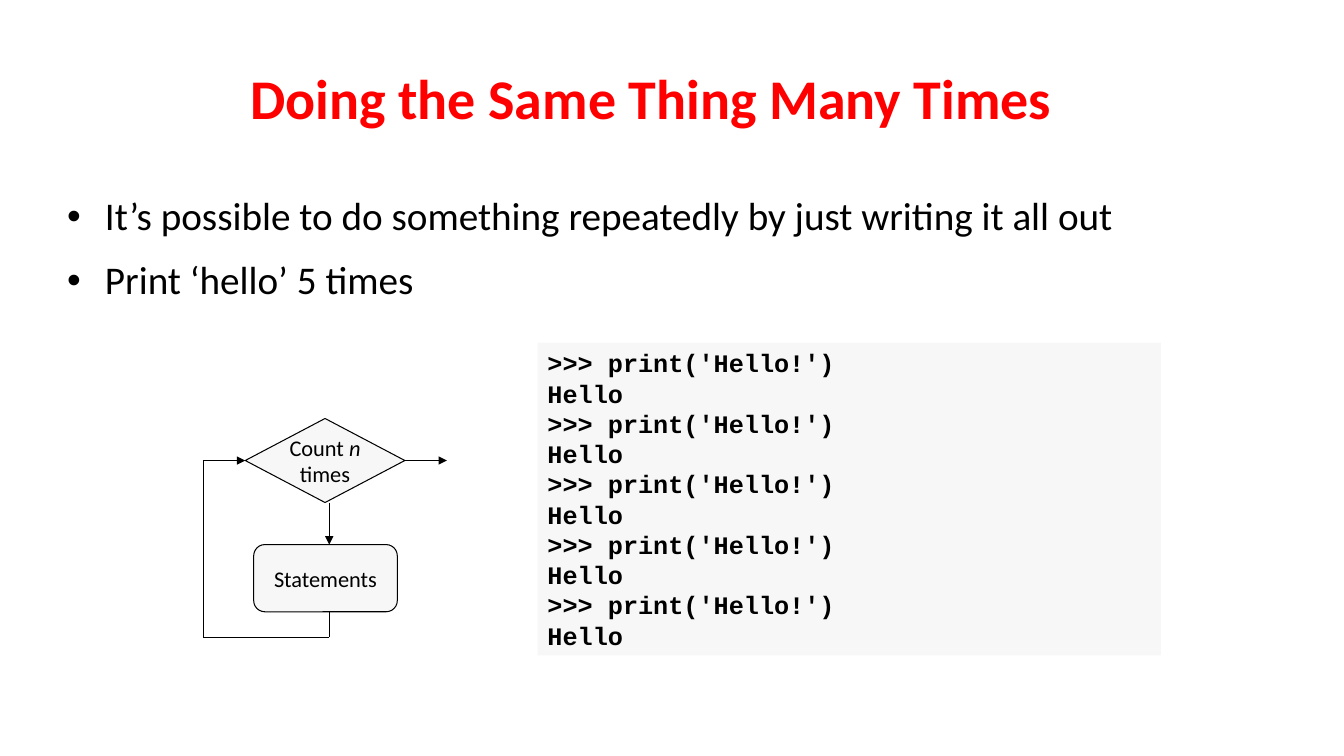
"""Build a slide on repeating statements, with a loop flowchart and a code sample."""
from dataclasses import dataclass

import lxml.etree
import pptx
import pptx.dml.color
import pptx.enum.shapes
import pptx.enum.text
import pptx.oxml.ns
import pptx.util

COLOURS = {"title": "FF0000", "ink": "000000", "panel": "F7F7F7"}
COLUMNS = 160
SLIDE_WIDTH = pptx.util.Inches(13.34)
SLIDE_HEIGHT = pptx.util.Inches(7.5)
CELL = SLIDE_WIDTH / COLUMNS
SHAPES = pptx.enum.shapes.MSO_SHAPE
ALIGN = pptx.enum.text.PP_ALIGN
ANCHOR = pptx.enum.text.MSO_ANCHOR

TITLE = "Doing the Same Thing Many Times"
BULLETS = (
    "It’s possible to do something repeatedly by just writing it all out",
    "Print ‘hello’ 5 times",
)
CODE = (">>> print('Hello!')", "Hello") * 5


@dataclass(frozen=True)
class Area:
    column: float
    row: float
    columns: float
    rows: float

    def lengths(self) -> tuple[int, ...]:
        return tuple(cells(n) for n in (self.column, self.row, self.columns, self.rows))


@dataclass(frozen=True)
class Node:
    kind: SHAPES
    area: Area
    lines: tuple[tuple[str, ...], ...]
    italic: str = ""


@dataclass(frozen=True)
class Link:
    start: tuple[float, float]
    end: tuple[float, float]
    arrow: bool = False
    from_side: int | None = None
    to_side: int | None = None


TITLE_AREA = Area(22, 4.4, 111, 15)
BULLET_AREA = Area(8, 21.1, 141.8, 57.7)
CODE_AREA = Area(64, 40.8, 74.2, 37.2)
COUNT = Node(SHAPES.DIAMOND, Area(29.2, 49.8, 19, 10), (("Count ", "n"), ("times",)), "n")
STATEMENTS = Node(SHAPES.ROUNDED_RECTANGLE, Area(30.2, 64.8, 17.1, 8), (("Statements",),))

LOOP, STEM, EXIT = 24.2, 39.2, 53.2
COUNT_LEFT, COUNT_RIGHT = 29.2, 48.2
MIDDLE, COUNT_BOTTOM, STEP_TOP, STEP_BOTTOM, RETURN = 54.8, 59.8, 64.8, 72.8, 75.8
LINKS = (
    Link((STEM, COUNT_BOTTOM), (STEM, STEP_TOP), arrow=True),
    Link((STEM, STEP_BOTTOM), (STEM, RETURN)),
    Link((STEM, RETURN), (LOOP, RETURN)),
    Link((LOOP, RETURN), (LOOP, MIDDLE)),
    Link((LOOP, MIDDLE), (COUNT_LEFT, MIDDLE), arrow=True, to_side=1),
    Link((COUNT_RIGHT, MIDDLE), (EXIT, MIDDLE), arrow=True, from_side=3),
)


def cells(count: float) -> int:
    return round(count * CELL)


def colour(name: str) -> pptx.dml.color.RGBColor:
    return pptx.dml.color.RGBColor.from_string(COLOURS[name])


def add_element(parent, tag: str, **attributes: str):
    return lxml.etree.SubElement(parent, pptx.oxml.ns.qn(tag), attributes)


def style(para, size: float, name: str = "Calibri", ink: str = "ink", bold: bool = False) -> None:
    font = para.font
    font.size, font.name, font.bold = pptx.util.Pt(size), name, bold
    font.color.rgb = colour(ink)


def paragraphs(frame, count: int) -> list:
    return [frame.paragraphs[0]] + [frame.add_paragraph() for _ in range(count - 1)]


def add_title(page) -> None:
    title = page.shapes.title
    title.left, title.top, title.width, title.height = TITLE_AREA.lengths()
    frame = title.text_frame
    frame.text = TITLE
    frame.vertical_anchor = ANCHOR.MIDDLE
    para = frame.paragraphs[0]
    para.alignment, para.line_spacing = ALIGN.CENTER, 0.97
    style(para, 40, ink="title", bold=True)


def add_bullets(page) -> None:
    frame = page.shapes.add_textbox(*BULLET_AREA.lengths()).text_frame
    frame.word_wrap = True
    frame.margin_left = frame.margin_right = frame.margin_bottom = 0
    frame.margin_top = cells(2)
    indent = cells(4.5)
    for para, text in zip(paragraphs(frame, len(BULLETS)), BULLETS):
        para.text = text
        para.line_spacing, para.space_after = 0.97, pptx.util.Pt(12.9)
        properties = para._p.get_or_add_pPr()
        properties.set("marL", str(indent))
        properties.set("indent", str(-indent))
        add_element(add_element(properties, "a:buClr"), "a:srgbClr", val=COLOURS["ink"])
        add_element(properties, "a:buFont", typeface="Arial")
        add_element(properties, "a:buChar", char="•")
        style(para, 28)


def add_panel(page, kind: SHAPES, area: Area):
    box = page.shapes.add_shape(kind, *area.lengths())
    box.shadow.inherit = False
    box.fill.solid()
    box.fill.fore_color.rgb = colour("panel")
    return box


def add_code(page) -> None:
    box = add_panel(page, SHAPES.RECTANGLE, CODE_AREA)
    box.line.fill.background()
    frame = box.text_frame
    frame.word_wrap = True
    frame.vertical_anchor = ANCHOR.TOP
    frame.auto_size = pptx.enum.text.MSO_AUTO_SIZE.SHAPE_TO_FIT_TEXT
    for para, text in zip(paragraphs(frame, len(CODE)), CODE):
        para.text = text
        para.alignment = ALIGN.LEFT
        style(para, 18, "Courier New", bold=True)


def draw_line(line) -> None:
    line.color.rgb = colour("ink")
    line.width = pptx.util.Pt(0.75)


def add_node(page, node: Node):
    box = add_panel(page, node.kind, node.area)
    draw_line(box.line)
    frame = box.text_frame
    frame.word_wrap = False
    frame.vertical_anchor = ANCHOR.MIDDLE
    for para, spans in zip(paragraphs(frame, len(node.lines)), node.lines):
        para.alignment = ALIGN.CENTER
        style(para, 16)
        for text in spans:
            span = para.add_run()
            span.text = text
            if text == node.italic:
                span.font.italic = True
    return box


def add_link(page, link: Link, count) -> None:
    ends = [cells(n) for n in link.start + link.end]
    line = page.shapes.add_connector(pptx.enum.shapes.MSO_CONNECTOR.STRAIGHT, *ends)
    if link.from_side is not None:
        line.begin_connect(count, link.from_side)
    if link.to_side is not None:
        line.end_connect(count, link.to_side)
    draw_line(line.line)
    if link.arrow:
        add_element(line.line._get_or_add_ln(), "a:tailEnd", type="triangle")
    add_element(line._element.spPr, "a:effectLst")


def main() -> None:
    deck = pptx.Presentation()
    deck.slide_width, deck.slide_height = SLIDE_WIDTH, SLIDE_HEIGHT
    page = deck.slides.add_slide(deck.slide_layouts[5])
    add_title(page)
    add_bullets(page)
    add_code(page)
    add_node(page, STATEMENTS)
    count = add_node(page, COUNT)
    for link in LINKS:
        add_link(page, link, count)
    deck.save("out.pptx")


if __name__ == "__main__":
    main()
